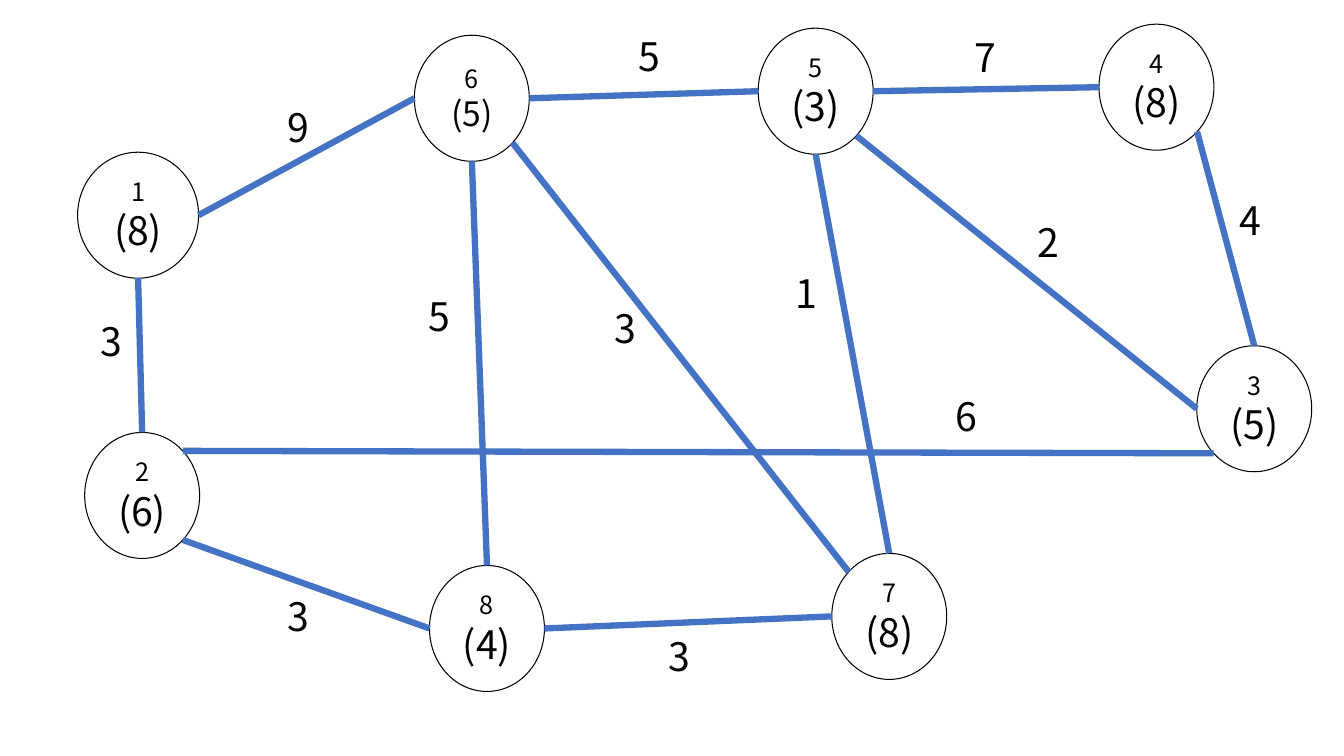
"""Build a slide showing a weighted graph of eight numbered nodes."""
import math
from dataclasses import dataclass
from enum import Enum

import pptx
import pptx.dml.color
import pptx.enum.shapes
import pptx.enum.text
import pptx.oxml
import pptx.util
from pptx.util import Inches


@dataclass(frozen=True)
class Theme:
    font: str = "Noto Sans CJK KR"
    ink: str = "000000"
    edge: str = "4472C4"
    number_size: float = 18
    value_size: float = 28
    small_value_size: float = 24
    outline: float = 0.75
    edge_width: float = 4.5


@dataclass(frozen=True)
class Node:
    number: int
    value: int
    left: float
    top: float
    width: float = 1.14
    height: float = 1.25
    value_size: float = Theme.value_size


class Side(Enum):
    """Angles of the joining points, clockwise from the right."""
    RIGHT = 0
    LOWER_RIGHT = 45
    BOTTOM = 90
    LEFT = 180
    UPPER_LEFT = 225
    TOP = 270
    UPPER_RIGHT = 315
    LOWER_LEFT = 135


@dataclass(frozen=True)
class Edge:
    start: int
    start_side: Side
    end: int
    end_side: Side
    weight: int
    label_left: float
    label_top: float


THEME = Theme()
LABEL_WIDTH, LABEL_HEIGHT = 0.82, 0.57

NODES = [
    Node(1, 8, 0.77, 1.51, width=1.2),
    Node(2, 6, 0.84, 4.29),
    Node(3, 5, 11.87, 3.43),
    Node(4, 8, 10.9, 0.24),
    Node(5, 3, 7.52, 0.28),
    Node(6, 5, 4.11, 0.35, value_size=THEME.small_value_size),
    Node(7, 8, 8.25, 5.49),
    Node(8, 4, 4.26, 5.61),
]

EDGES = [
    Edge(1, Side.RIGHT, 6, Side.LEFT, 9, 2.75, 0.98),
    Edge(1, Side.BOTTOM, 2, Side.TOP, 3, 0.9, 3.1),
    Edge(2, Side.LOWER_RIGHT, 8, Side.LEFT, 3, 2.75, 5.83),
    Edge(8, Side.TOP, 6, Side.BOTTOM, 5, 4.15, 2.85),
    Edge(7, Side.UPPER_LEFT, 6, Side.LOWER_RIGHT, 3, 6, 2.97),
    Edge(7, Side.LEFT, 8, Side.RIGHT, 3, 6.53, 6.22),
    Edge(5, Side.LEFT, 6, Side.RIGHT, 5, 6.23, 0.27),
    Edge(4, Side.LEFT, 5, Side.RIGHT, 7, 9.57, 0.28),
    Edge(4, Side.LOWER_RIGHT, 3, Side.TOP, 4, 12.19, 1.9),
    Edge(5, Side.LOWER_RIGHT, 3, Side.LEFT, 2, 10.19, 2.12),
    Edge(2, Side.UPPER_RIGHT, 3, Side.LOWER_LEFT, 6, 9.38, 3.84),
    Edge(7, Side.TOP, 5, Side.BOTTOM, 1, 7.79, 2.62),
]


def color(value: str) -> pptx.dml.color.RGBColor:
    return pptx.dml.color.RGBColor.from_string(value)


def add_span(para, text: str, size: float) -> None:
    span = para.add_run()
    span.text = text
    span.font.name = THEME.font
    span.font.size = pptx.util.Pt(size)
    span.font.color.rgb = color(THEME.ink)


def draw_node(page, node: Node) -> None:
    oval = page.shapes.add_shape(
        pptx.enum.shapes.MSO_SHAPE.OVAL,
        Inches(node.left), Inches(node.top), Inches(node.width), Inches(node.height))
    oval.shadow.inherit = False
    oval.fill.background()
    oval.line.color.rgb = color(THEME.ink)
    oval.line.width = pptx.util.Pt(THEME.outline)
    frame = oval.text_frame
    frame.vertical_anchor = pptx.enum.text.MSO_ANCHOR.MIDDLE
    lines = [(str(node.number), THEME.number_size), (f"({node.value})", node.value_size)]
    for index, (text, size) in enumerate(lines):
        para = frame.add_paragraph() if index else frame.paragraphs[0]
        para.alignment = pptx.enum.text.PP_ALIGN.CENTER
        add_span(para, text, size)


def joining_point(node: Node, side: Side) -> tuple[int, int]:
    angle = math.radians(side.value)
    across = node.left + node.width / 2 * (1 + math.cos(angle))
    down = node.top + node.height / 2 * (1 + math.sin(angle))
    return Inches(across), Inches(down)


def draw_edge(page, edge: Edge, nodes: dict[int, Node]) -> None:
    line = page.shapes.add_connector(
        pptx.enum.shapes.MSO_CONNECTOR.STRAIGHT,
        *joining_point(nodes[edge.start], edge.start_side),
        *joining_point(nodes[edge.end], edge.end_side))
    line.line.color.rgb = color(THEME.edge)
    line.line.width = pptx.util.Pt(THEME.edge_width)
    properties = line.element.spPr
    properties.append(pptx.oxml.parse_xml(
        '<a:effectLst xmlns:a="http://schemas.openxmlformats.org/drawingml/2006/main"/>'))


def draw_weight(page, edge: Edge) -> None:
    box = page.shapes.add_textbox(
        Inches(edge.label_left), Inches(edge.label_top),
        Inches(LABEL_WIDTH), Inches(LABEL_HEIGHT))
    box.text_frame.word_wrap = True
    box.text_frame.auto_size = pptx.enum.text.MSO_AUTO_SIZE.SHAPE_TO_FIT_TEXT
    add_span(box.text_frame.paragraphs[0], str(edge.weight), THEME.value_size)


def main() -> None:
    deck = pptx.Presentation()
    deck.slide_width, deck.slide_height = Inches(13.33), Inches(7.5)
    page = deck.slides.add_slide(deck.slide_layouts[6])
    nodes = {node.number: node for node in NODES}
    for node in NODES:
        draw_node(page, node)
    for edge in EDGES:
        draw_edge(page, edge, nodes)
    for edge in EDGES:
        draw_weight(page, edge)
    deck.save("out.pptx")


main()
